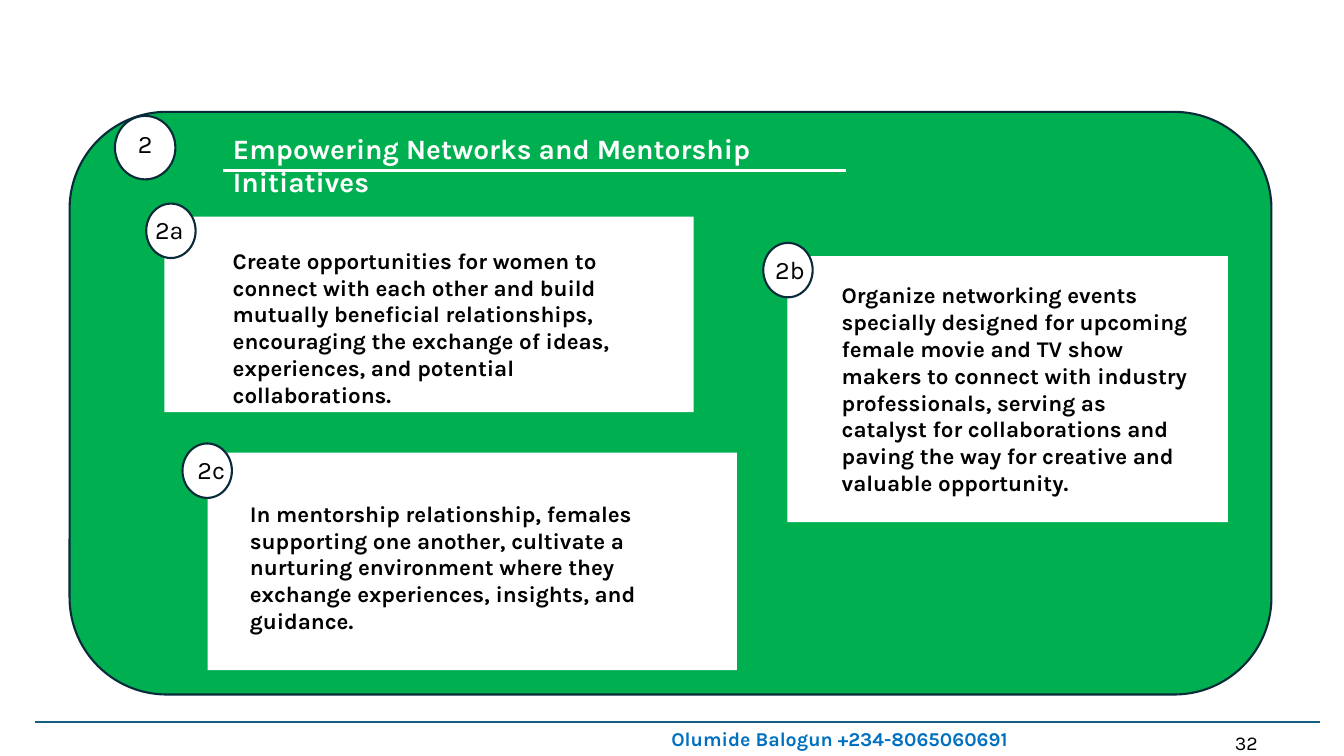
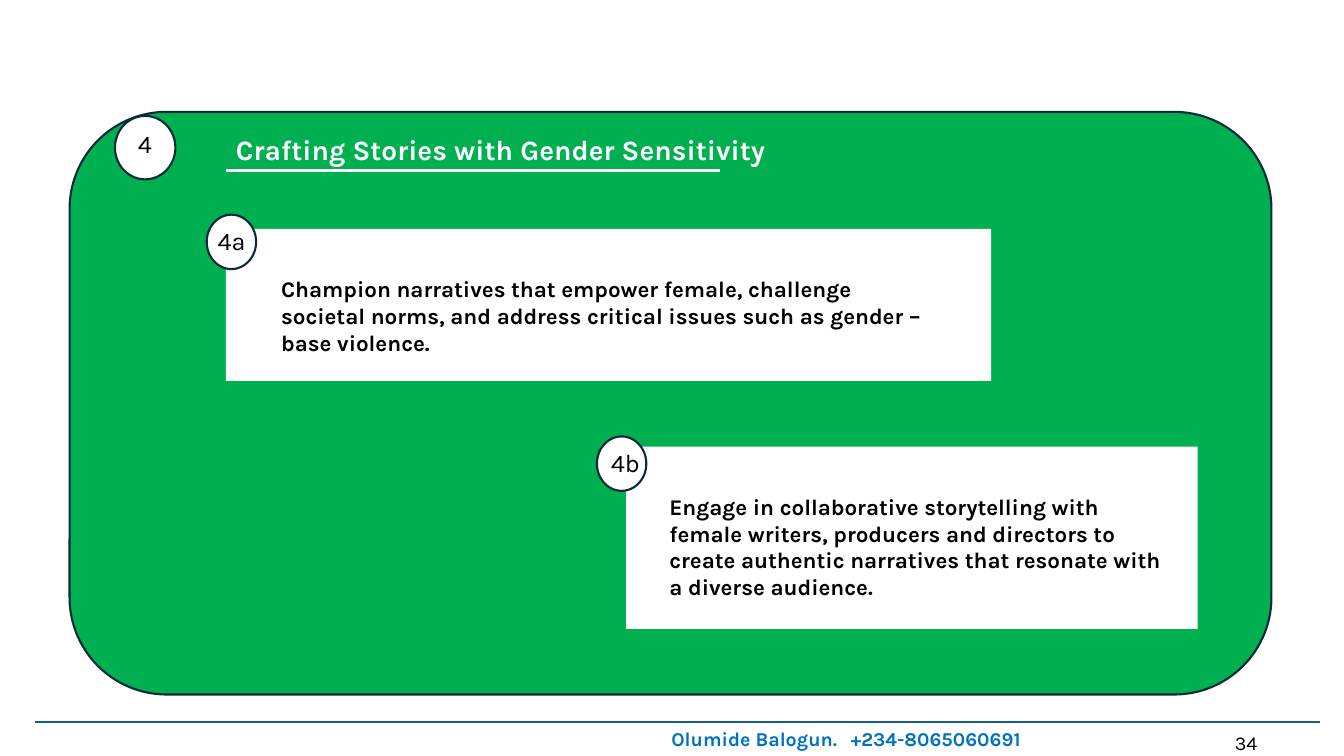
from lxml.etree import SubElement
from pptx import Presentation
from pptx.dml.color import RGBColor
from pptx.enum.shapes import MSO_CONNECTOR, MSO_SHAPE
from pptx.enum.text import MSO_ANCHOR, MSO_AUTO_SIZE, PP_ALIGN
from pptx.oxml.ns import qn
from pptx.util import Emu, Pt

EMU_PER_PX = 9144
FONT = "Karla"
COLORS = {
    "panel": "00B050",
    "outline": "092A39",
    "rule": "156082",
    "contact": "0070C0",
    "white": "FFFFFF",
    "black": "000000",
}


def px(length):
    """Turn whole pixels, 100 to the inch, into EMU."""
    return Emu(length * EMU_PER_PX)


def color(name):
    """Look up a named colour."""
    return RGBColor.from_string(COLORS[name])


def write(shape, text, *, size, ink="black", bold=False, tab=None):
    """Fill a shape with one left-aligned, formatted paragraph."""
    frame = shape.text_frame
    frame.word_wrap = True
    frame.auto_size = MSO_AUTO_SIZE.NONE
    frame.vertical_anchor = MSO_ANCHOR.TOP
    paragraph = frame.paragraphs[0]
    paragraph.alignment = PP_ALIGN.LEFT
    if tab:
        tabs = SubElement(paragraph._p.get_or_add_pPr(), qn("a:tabLst"))
        SubElement(tabs, qn("a:tab"), pos=str(px(tab)), algn="l")
    run = paragraph.add_run()
    run.text = text
    run.font.name = FONT
    run.font.size = Pt(size)
    run.font.bold = bold
    run.font.color.rgb = color(ink)


class Deck:
    """Holds the presentation, its style and the current slide."""

    def __init__(self):
        """Start an empty widescreen presentation."""
        self.presentation = Presentation()
        self.presentation.slide_width = px(1333)
        self.presentation.slide_height = px(750)
        self.slide = None

    def shape(self, kind, box, fill, outline=None):
        """Add a filled preset shape."""
        shape = self.slide.shapes.add_shape(kind, *map(px, box))
        shape.shadow.inherit = False
        shape.fill.solid()
        shape.fill.fore_color.rgb = color(fill)
        if outline:
            shape.line.color.rgb = color(outline)
            shape.line.width = Pt(1.5)
        else:
            shape.line.fill.background()

    def text(self, text, box, **style):
        """Add a text box."""
        write(self.slide.shapes.add_textbox(*map(px, box)), text, **style)

    def line(self, start, end, ink, width):
        """Add a straight line."""
        connector = self.slide.shapes.add_connector(
            MSO_CONNECTOR.STRAIGHT, *map(px, start + end))
        connector.line.color.rgb = color(ink)
        connector.line.width = Pt(width)
        SubElement(connector._element.spPr, qn("a:effectLst"))

    def badge(self, label, circle, label_box):
        """Add an outlined circle with its label."""
        self.shape(MSO_SHAPE.OVAL, circle, "white", "outline")
        self.text(label, label_box, size=18)

    def card(self, label, text, box, badge, label_left, text_box):
        """Add a white card with a badge at its corner."""
        left, top = badge
        self.shape(MSO_SHAPE.RECTANGLE, box, "white")
        self.badge(label, (left, top, 49, 54), (label_left, top + 6, 58, 40))
        self.text(text, text_box, size=16, bold=True)

    def title(self, text, box, underline_end):
        """Place the title above the panel and underline it."""
        title = self.slide.shapes.title
        title.left, title.top, title.width, title.height = map(px, box)
        write(title, text, size=20, ink="white", bold=True)
        title._element.getparent().append(title._element)
        self.line((box[0], 169), (underline_end, 169), "white", 1.75)

    def topic(self, number, title, title_box, underline_end, cards, contact, page):
        """Add a slide about one numbered topic."""
        self.slide = self.presentation.slides.add_slide(
            self.presentation.slide_layouts[5])
        self.shape(MSO_SHAPE.ROUNDED_RECTANGLE, (69, 111, 1192, 578), "panel", "outline")
        self.line((35, 716), (1309, 716), "rule", 1.5)
        self.text(contact, (656, 716, 408, 34), size=14, ink="contact", bold=True, tab=178)
        self.text(page, (1215, 720, 47, 34), size=14)
        self.badge(number, (114, 115, 60, 63), (127, 122, 33, 40))
        for card in cards:
            self.card(*card)
        self.title(title, title_box, underline_end)


def main():
    """Build both topic slides and save them."""
    deck = Deck()
    deck.topic(
        "2", "Empowering Networks and Mentorship Initiatives",
        (221, 125, 647, 44), 839,
        [
            ("2a", "Create opportunities for women to connect with each other and "
             "build mutually beneficial relationships, encouraging the exchange of "
             "ideas, experiences, and potential collaborations.",
             (163, 215, 525, 194), (145, 202), 144, (221, 240, 437, 145)),
            ("2c", "In mentorship relationship, females supporting one another, "
             "cultivate a nurturing environment where they exchange experiences, "
             "insights, and guidance.",
             (206, 449, 525, 216), (181, 440), 186, (238, 491, 459, 118)),
            ("2b", "Organize networking events specially designed for upcoming "
             "female movie and TV show makers to connect with industry "
             "professionals, serving as catalyst for collaborations and paving the "
             "way for creative and valuable opportunity.",
             (781, 254, 437, 264), (757, 241), 759, (825, 274, 367, 199)),
        ],
        "Olumide Balogun +234-8065060691", "32")
    deck.topic(
        "4", "Crafting Stories with Gender Sensitivity",
        (224, 126, 664, 44), 714,
        [
            ("4a", "Champion narratives that empower female, challenge societal "
             "norms, and address critical issues such as gender – base violence.",
             (224, 227, 759, 151), (205, 213), 206, (269, 268, 664, 64)),
            ("4b", "Engage in collaborative storytelling with female writers, "
             "producers and directors to create authentic narratives that resonate "
             "with a diverse audience.",
             (621, 443, 567, 181), (592, 433), 596, (654, 484, 512, 91)),
        ],
        "Olumide Balogun.\t+234-8065060691", "34")
    deck.presentation.save("out.pptx")


if __name__ == "__main__":
    main()
